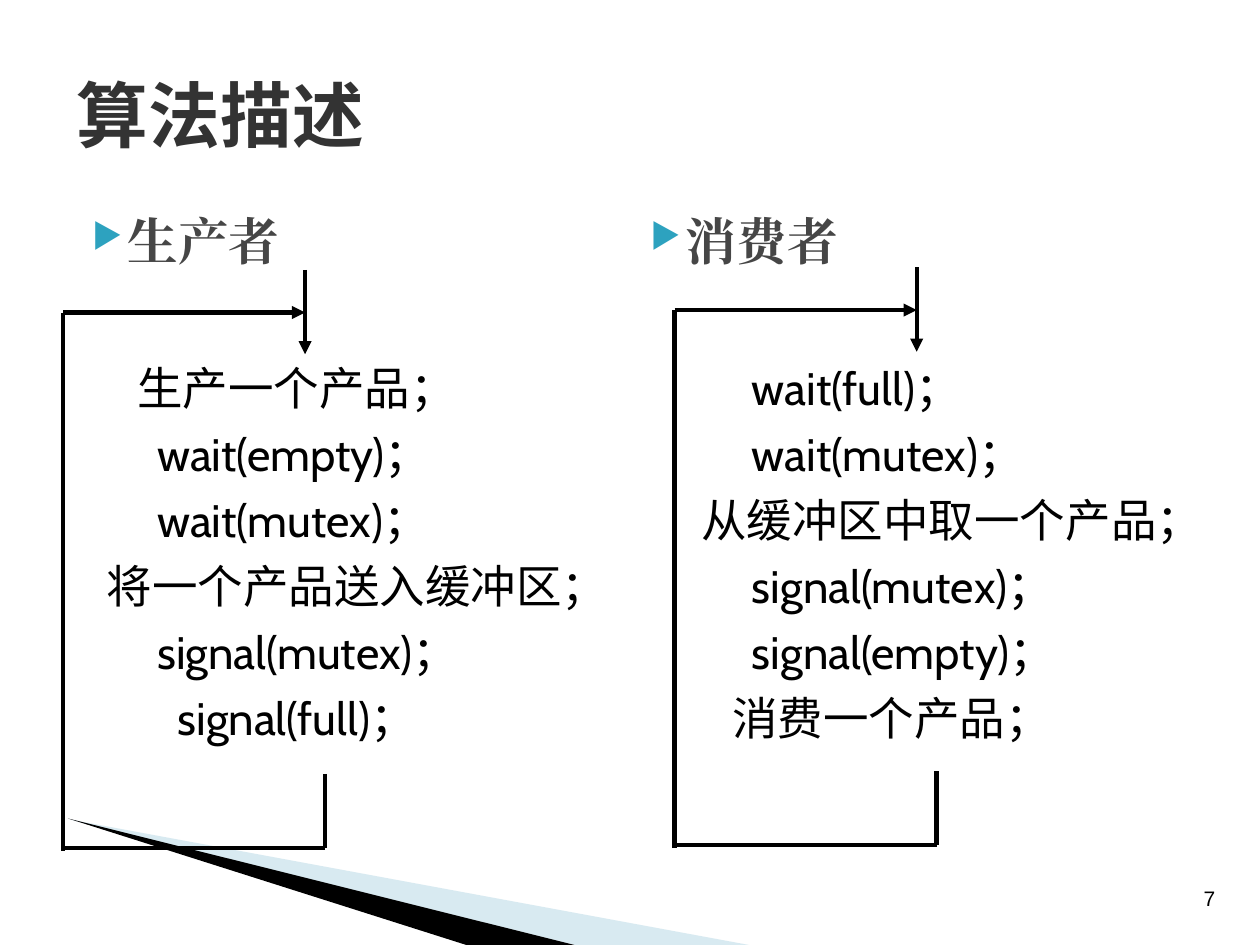
from dataclasses import dataclass

from lxml import etree
from pptx import Presentation
from pptx.dml.color import RGBColor
from pptx.enum.shapes import MSO_CONNECTOR
from pptx.enum.text import MSO_ANCHOR, PP_ALIGN
from pptx.oxml.ns import qn
from pptx.util import Cm, Pt

STRAIGHT = MSO_CONNECTOR.STRAIGHT
TOP, MIDDLE = MSO_ANCHOR.TOP, MSO_ANCHOR.MIDDLE
LEFT, CENTER, JUSTIFY = PP_ALIGN.LEFT, PP_ALIGN.CENTER, PP_ALIGN.JUSTIFY


@dataclass(frozen=True)
class Theme:
    black: str = "000000"
    title: str = "333333"
    heading: str = "464646"
    bullet: str = "2DA2BF"
    pale: str = "9FCBDC"
    title_size: float = 41
    heading_size: float = 29
    step_size: float = 26
    number_size: float = 12
    line_width: float = 2.5


theme = Theme()
deck = Presentation()
deck.slide_width, deck.slide_height = Cm(25.4), Cm(19.05)
page = deck.slides.add_slide(deck.slide_layouts[6])


def add_text(lines, left, top, width, height, *, size, font, color, bold=False,
             align=LEFT, anchor=TOP, before=0, bullet=False, wrap=True):
    """Add a text box; each line is a pair of text and left indent in cm."""
    box = page.shapes.add_textbox(Cm(left), Cm(top), Cm(width), Cm(height))
    frame = box.text_frame
    frame.word_wrap, frame.vertical_anchor = wrap, anchor
    for index, (text, indent) in enumerate(lines):
        para = frame.paragraphs[0] if index == 0 else frame.add_paragraph()
        para.alignment = align
        if index:
            para.space_before = Pt(before)
        settings = para._p.get_or_add_pPr()
        settings.set("marL", str(Cm(indent)))
        if bullet:
            settings.set("indent", str(-Cm(0.71)))
            tint = etree.SubElement(settings, qn("a:buClr"))
            etree.SubElement(tint, qn("a:srgbClr"), val=theme.bullet)
            etree.SubElement(settings, qn("a:buSzPct"), val="68000")
            etree.SubElement(settings, qn("a:buChar"), char="▶")
        span = para.add_run()
        span.text = text
        span.font.size, span.font.bold = Pt(size), bold
        span.font.color.rgb = RGBColor.from_string(color)
        span.font.name = font
        etree.SubElement(span._r.get_or_add_rPr(), qn("a:ea"), typeface=font)


def add_line(start, end, arrow=False):
    """Add a straight black line between two points in cm."""
    line = page.shapes.add_connector(STRAIGHT, *map(Cm, start + end))
    line.line.color.rgb = RGBColor.from_string(theme.black)
    line.line.width = Pt(theme.line_width)
    if arrow:
        etree.SubElement(line.line._get_or_add_ln(), qn("a:tailEnd"), type="triangle")
    etree.SubElement(line._element.spPr, qn("a:effectLst"))


# Corner wedges: points in cm, colour, opacity in percent
wedges = [
    ([(1.4, 16.52), (15.1, 19.05), (11.58, 19.05)], theme.pale, 40),
    ([(1.37, 16.5), (11.58, 19.05), (9.4, 19.05)], theme.black, 100),
]
for points, color, opacity in wedges:
    builder = page.shapes.build_freeform(*map(Cm, points[0]), scale=1.0)
    builder.add_line_segments([(Cm(x), Cm(y)) for x, y in points[1:]], close=True)
    wedge = builder.convert_to_shape()
    wedge.shadow.inherit = False
    wedge.fill.solid()
    wedge.fill.fore_color.rgb = RGBColor.from_string(color)
    wedge.line.fill.background()
    if opacity < 100:
        tint = wedge._element.spPr.find(qn("a:solidFill"))[0]
        etree.SubElement(tint, qn("a:alpha"), val=str(opacity * 1000))

# Page number and title
add_text([("7", 0)], 23.16, 17.73, 2.44, 0.76, size=theme.number_size,
         font="Arial", color=theme.black, align=CENTER, anchor=MIDDLE, wrap=False)
add_text([("算法描述", 0)], 1.3, 0.71, 22.86, 3.18, size=theme.title_size,
         font="Noto Sans CJK SC", color=theme.title, bold=True, anchor=MIDDLE)

# Two processes: heading, heading left, steps left, steps width,
# loop offset (x, y), steps with their indent
SMALL, MEDIUM, LARGE = 0.62, 1.02, 1.43
processes = [
    ("生产者", 1.3, 1.9, 11.63, (0, 0), [
        ("生产一个产品；", SMALL),
        ("wait(empty)；", MEDIUM),
        ("wait(mutex)；", MEDIUM),
        ("将一个产品送入缓冲区；", 0),
        ("signal(mutex)；", MEDIUM),
        ("signal(full)；", LARGE),
    ]),
    ("消费者", 12.55, 13.89, 11.23, (12.33, -0.05), [
        ("wait(full)；", MEDIUM),
        ("wait(mutex)；", MEDIUM),
        ("从缓冲区中取一个产品；", 0),
        ("signal(mutex)；", MEDIUM),
        ("signal(empty)；", MEDIUM),
        ("消费一个产品；", SMALL),
    ]),
]
# Loop lines: start, end, arrowhead
loop = [
    ((6.15, 5.44), (6.15, 7.14), True),
    ((6.55, 15.6), (6.55, 17.09), False),
    ((6.55, 17.09), (1.27, 17.09), False),
    ((1.27, 17.15), (1.27, 6.3), False),
    ((1.27, 6.3), (6.15, 6.3), True),
]
for heading, heading_left, steps_left, width, (dx, dy), steps in processes:
    add_text([(heading, 1.02)], heading_left, 4.11, 11.23, 12.57,
             size=theme.heading_size, font="Times New Roman",
             color=theme.heading, bold=True, bullet=True)
    add_text(steps, steps_left, 7.14, width, 10.1, size=theme.step_size,
             font="Cabin", color=theme.black, align=JUSTIFY, before=6.5)
    for (x1, y1), (x2, y2), arrow in loop:
        add_line((x1 + dx, y1 + dy), (x2 + dx, y2 + dy), arrow)

deck.save("out.pptx")
